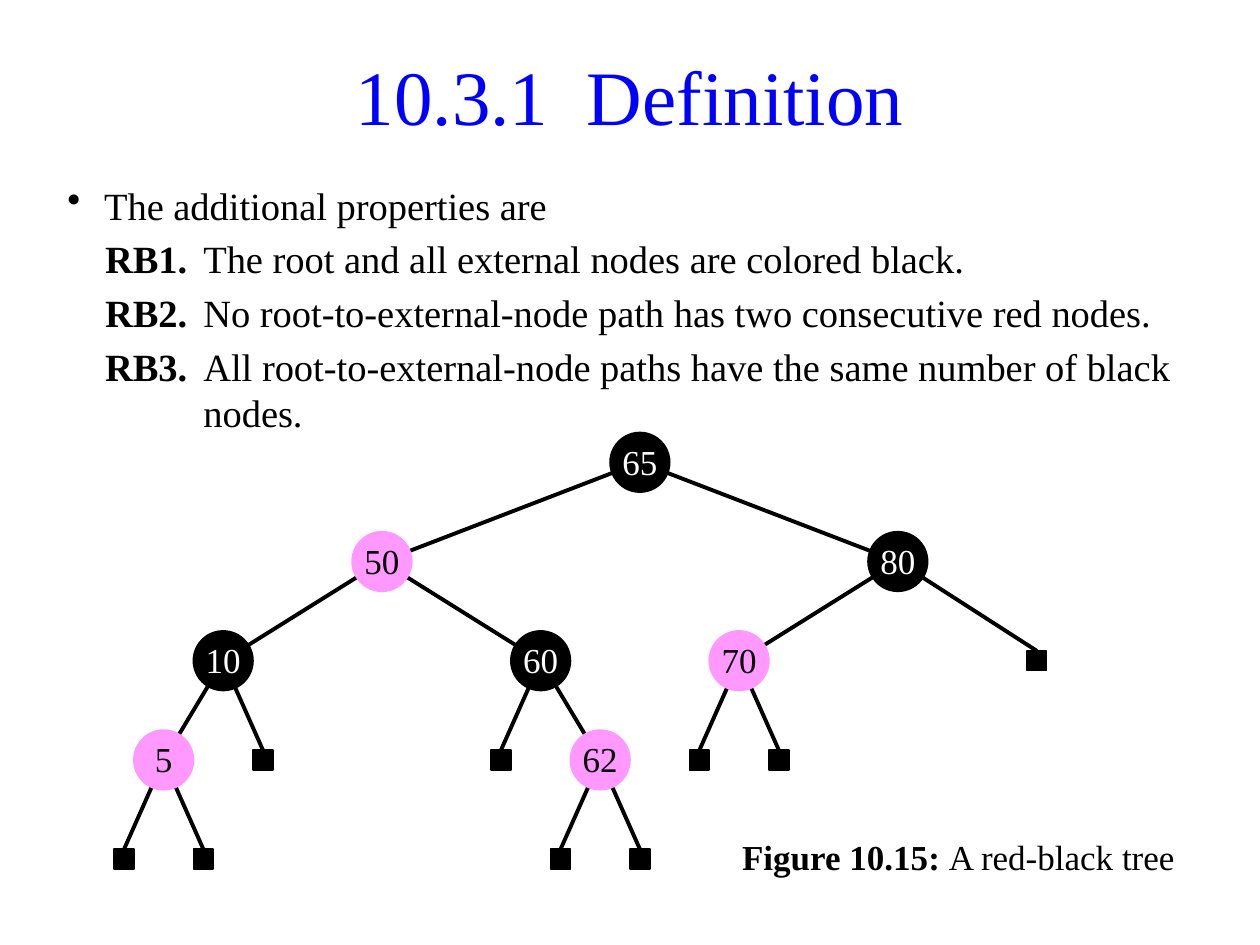
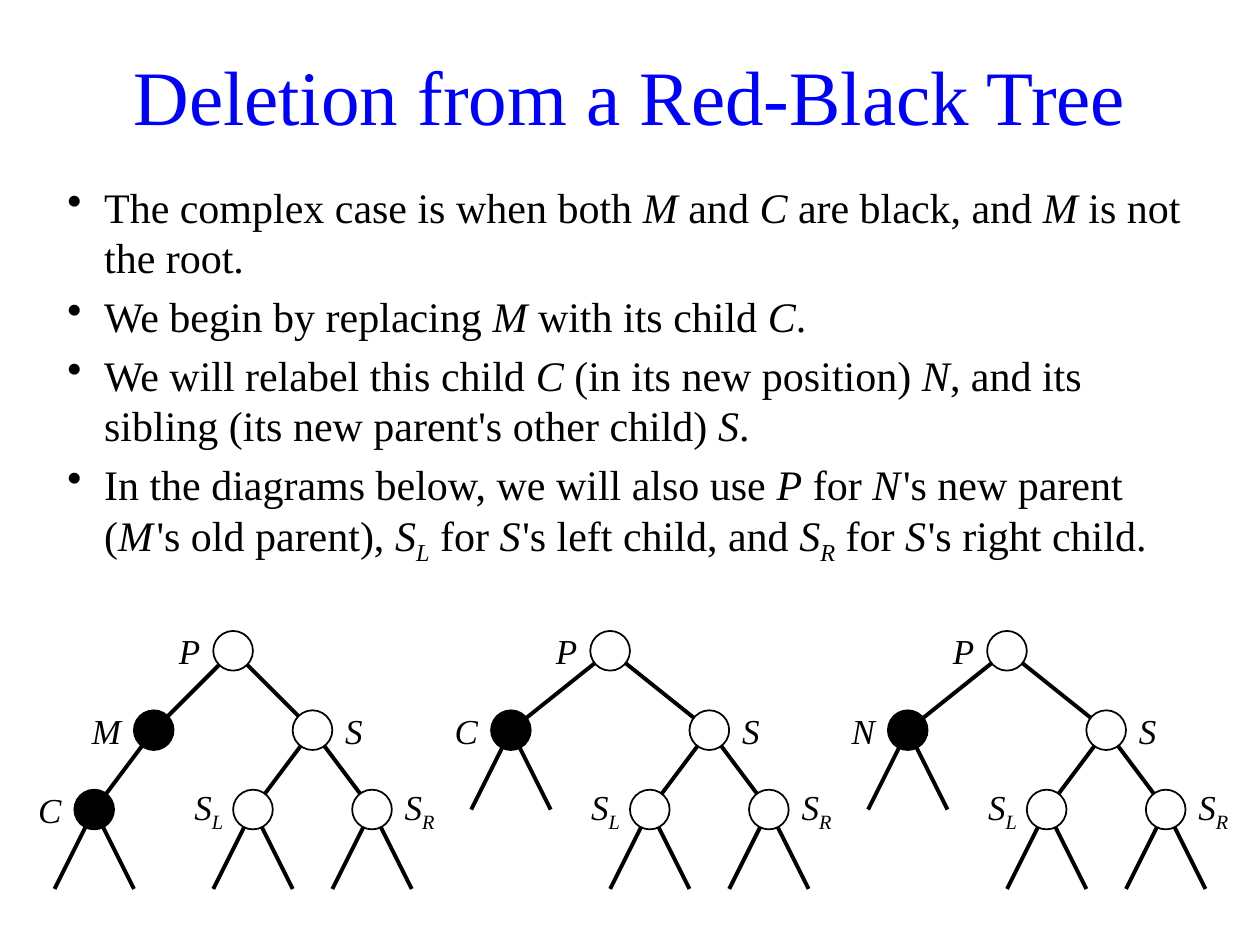
from dataclasses import dataclass

from lxml import etree
from pptx import Presentation
from pptx.dml.color import RGBColor
from pptx.enum.shapes import MSO_CONNECTOR, MSO_SHAPE
from pptx.enum.text import MSO_ANCHOR, MSO_AUTO_SIZE, PP_ALIGN
from pptx.oxml.ns import qn
from pptx.util import Emu, Inches, Pt

BLUE = RGBColor(0x00, 0x00, 0xFF)
BLACK = RGBColor(0x00, 0x00, 0x00)
WHITE = RGBColor(0xFF, 0xFF, 0xFF)
PINK = RGBColor(0xFF, 0x99, 0xFF)

ELLIPSE, SQUARE = MSO_SHAPE.OVAL, MSO_SHAPE.RECTANGLE
STRAIGHT = MSO_CONNECTOR.STRAIGHT
TOP, MIDDLE, BOTTOM = MSO_ANCHOR.TOP, MSO_ANCHOR.MIDDLE, MSO_ANCHOR.BOTTOM
LEFT, CENTER, RIGHT = PP_ALIGN.LEFT, PP_ALIGN.CENTER, PP_ALIGN.RIGHT
NO_AUTOFIT = MSO_AUTO_SIZE.NONE

TITLE_BOX = (55, 36, 1160, 119)
INSETS = (13, 6, 13, 6)
BULLET_INDENT = (37, -37)
RULE_INDENT = (137, -99)
TOP_SIDE = 0


def px(length):
    return Emu(length * 7200)


@dataclass
class Words:
    text: str
    bold: bool = False
    italic: bool = False
    baseline: int = 0
    spacing: int = 0


@dataclass
class Key:
    value: str
    x: int
    fill: RGBColor
    children: tuple


@dataclass
class Member:
    label: tuple
    x: int
    fill: RGBColor
    align: PP_ALIGN = RIGHT
    children: tuple = ()


def var(name, spacing=0):
    return Words(name, italic=True, spacing=spacing)


def sub(name):
    return Words(name, italic=True, baseline=-25000)


LEFT_NEPHEW = (var("S"), sub("L"))
RIGHT_NEPHEW = (var("S"), sub("R"))


class Deck:
    font = "Times New Roman"

    def __init__(self):
        self.prs = Presentation()
        self.prs.slide_width, self.prs.slide_height = Inches(10), Inches(7.5)
        self.slide = None

    def add_slide(self, title):
        self.slide = self.prs.slides.add_slide(self.prs.slide_layouts[5])
        heading = self.slide.shapes.title
        left, top, width, height = map(px, TITLE_BOX)
        heading.left, heading.top = left, top
        heading.width, heading.height = width, height
        frame = self.frame(heading, MIDDLE)
        self.add_words(frame.paragraphs[0], [Words(title)], 44, BLUE, CENTER)

    def frame(self, holder, anchor, insets=INSETS):
        frame = holder.text_frame
        frame.word_wrap = True
        frame.auto_size = NO_AUTOFIT
        frame.vertical_anchor = anchor
        (frame.margin_left, frame.margin_top,
         frame.margin_right, frame.margin_bottom) = map(px, insets)
        return frame

    def add_words(self, paragraph, words, size, color=BLACK, align=LEFT):
        paragraph.alignment = align
        for part in words:
            run = paragraph.add_run()
            run.text = part.text
            font = run.font
            font.name, font.size = self.font, Pt(size)
            font.bold, font.italic = part.bold, part.italic
            font.color.rgb = color
            if part.baseline:
                font._element.set("baseline", str(part.baseline))
            if part.spacing:
                font._element.set("spc", str(part.spacing))

    def text(self, box, words, size, anchor=TOP, align=LEFT, insets=INSETS):
        holder = self.slide.shapes.add_textbox(*map(px, box))
        paragraph = self.frame(holder, anchor, insets).paragraphs[0]
        self.add_words(paragraph, words, size, align=align)
        return paragraph

    def space_before(self, paragraph):
        props = paragraph._p.get_or_add_pPr()
        space = etree.SubElement(props, qn("a:spcBef"))
        etree.SubElement(space, qn("a:spcPct")).set("val", "20000")
        return props

    def body(self, box, items, size):
        holder = self.slide.shapes.add_textbox(*map(px, box))
        frame = self.frame(holder, TOP)
        for index, (indent, words) in enumerate(items):
            paragraph = frame.add_paragraph() if index else frame.paragraphs[0]
            self.add_words(paragraph, words, size)
            props = self.space_before(paragraph)
            props.set("marL", str(px(indent[0])))
            props.set("indent", str(px(indent[1])))
            if indent == BULLET_INDENT:
                etree.SubElement(props, qn("a:buChar")).set("char", "•")

    def shape(self, kind, x, y, size, fill, outline):
        half = size // 2
        shape = self.slide.shapes.add_shape(
            kind, px(x - half), px(y - half), px(size), px(size))
        shape.shadow.inherit = False
        shape.fill.solid()
        shape.fill.fore_color.rgb = fill
        shape.line.color.rgb = outline
        shape.line.width = Pt(1)
        return shape

    def branch(self, x1, y1, x2, y2, target=None):
        line = self.slide.shapes.add_connector(STRAIGHT, px(x1), px(y1), px(x2), px(y2))
        line.line.color.rgb = BLACK
        line.line.width = Pt(2.25)
        etree.SubElement(line._element.spPr, qn("a:effectLst"))
        if target is not None:
            line.end_connect(target, TOP_SIDE)

    def search_tree(self, key, y, step=100):
        below = y + step
        for child in key.children:
            if isinstance(child, Key):
                self.branch(key.x, y, child.x, below)
                self.search_tree(child, below)
            else:
                external = self.shape(SQUARE, child, below, 20, BLACK, BLACK)
                self.branch(key.x, y, child, below - 10, external)
        node = self.shape(ELLIPSE, key.x, y, 60, key.fill, key.fill)
        frame = self.frame(node, BOTTOM, (0, 0, 0, 1))
        color = WHITE if key.fill == BLACK else BLACK
        self.add_words(frame.paragraphs[0], [Words(key.value)], 20, color, CENTER)

    def family_tree(self, member, y, step=80):
        below = y + step
        for child in member.children:
            self.branch(member.x, y, child.x, below)
            self.family_tree(child, below)
        if not member.children:
            for reach in (-40, 40):
                self.branch(member.x, y, member.x + reach, below)
        self.shape(ELLIPSE, member.x, y, 40, member.fill, BLACK)
        left = member.x + (20 if member.align == LEFT else -80)
        insets = (13, 6, 10, 6) if member.label == LEFT_NEPHEW else INSETS
        self.text((left, y - 40, 60, 80), member.label, 20, MIDDLE, member.align, insets)


def sibling(x):
    return Member((var("S"),), x, WHITE, LEFT, (
        Member(LEFT_NEPHEW, x - 60, WHITE),
        Member(RIGHT_NEPHEW, x + 60, WHITE, LEFT)))


def parent(x, spread, name, children=()):
    dark = Member((var(name),), x - spread, BLACK, children=children)
    return Member((var("P"),), x, WHITE, children=(dark, sibling(x + spread)))


def definition(deck):
    deck.add_slide("10.3.1  Definition")
    rules = (
        "The root and all external nodes are colored black.",
        "No root-to-external-node path has two consecutive red nodes.",
        "All root-to-external-node paths have the same number of black nodes.",
    )
    items = [(BULLET_INDENT, [Words("The additional properties are")])]
    for number, rule in enumerate(rules, 1):
        items.append((RULE_INDENT, [Words(f"RB{number}.", bold=True), Words("\t" + rule)]))
    deck.body((55, 177, 1160, 280), items, 22)

    root = Key("65", 645, BLACK, (
        Key("50", 385, PINK, (
            Key("10", 225, BLACK, (Key("5", 165, PINK, (125, 205)), 265)),
            Key("60", 545, BLACK, (505, Key("62", 605, PINK, (565, 645)))))),
        Key("80", 905, BLACK, (Key("70", 745, PINK, (705, 785)), 1045))))
    deck.search_tree(root, 466)
    caption = deck.text((735, 836, 480, 60), [
        Words("Figure 10.15: ", bold=True), Words("A red-black tree")], 20)
    deck.space_before(caption)


def deletion(deck):
    deck.add_slide("Deletion from a Red-Black Tree")
    points = (
        [Words("The complex case is when both "), var("M"), Words(" and "), var("C"),
         Words(" are black, and "), var("M "), Words("is not the root.")],
        [Words("We begin by replacing "), var("M"), Words(" with its child "), var("C"),
         Words(".")],
        [Words("We will relabel this child "), var("C"), Words(" (in its new position) "),
         var("N"), Words(", and its sibling (its new parent's other child) "), var("S"),
         Words(".")],
        [Words("In the diagrams below, we will also use "), var("P"), Words(" for "),
         var("N", 150), Words("'s new parent ("), var("M", 200), Words("'s old parent), "),
         *LEFT_NEPHEW, Words(" for "), var("S", 100), Words("'s left child, and "),
         *RIGHT_NEPHEW, Words(" for "), var("S", 100), Words("'s right child.")],
    )
    deck.body((55, 177, 1160, 400), [(BULLET_INDENT, point) for point in points], 24)

    only_child = Member((var("C"),), 95, BLACK)
    for tree in (parent(235, 80, "M", (only_child,)),
                 parent(615, 100, "C"),
                 parent(1015, 100, "N")):
        deck.family_tree(tree, 656)


def main():
    deck = Deck()
    definition(deck)
    deletion(deck)
    deck.prs.save("out.pptx")


if __name__ == "__main__":
    main()
